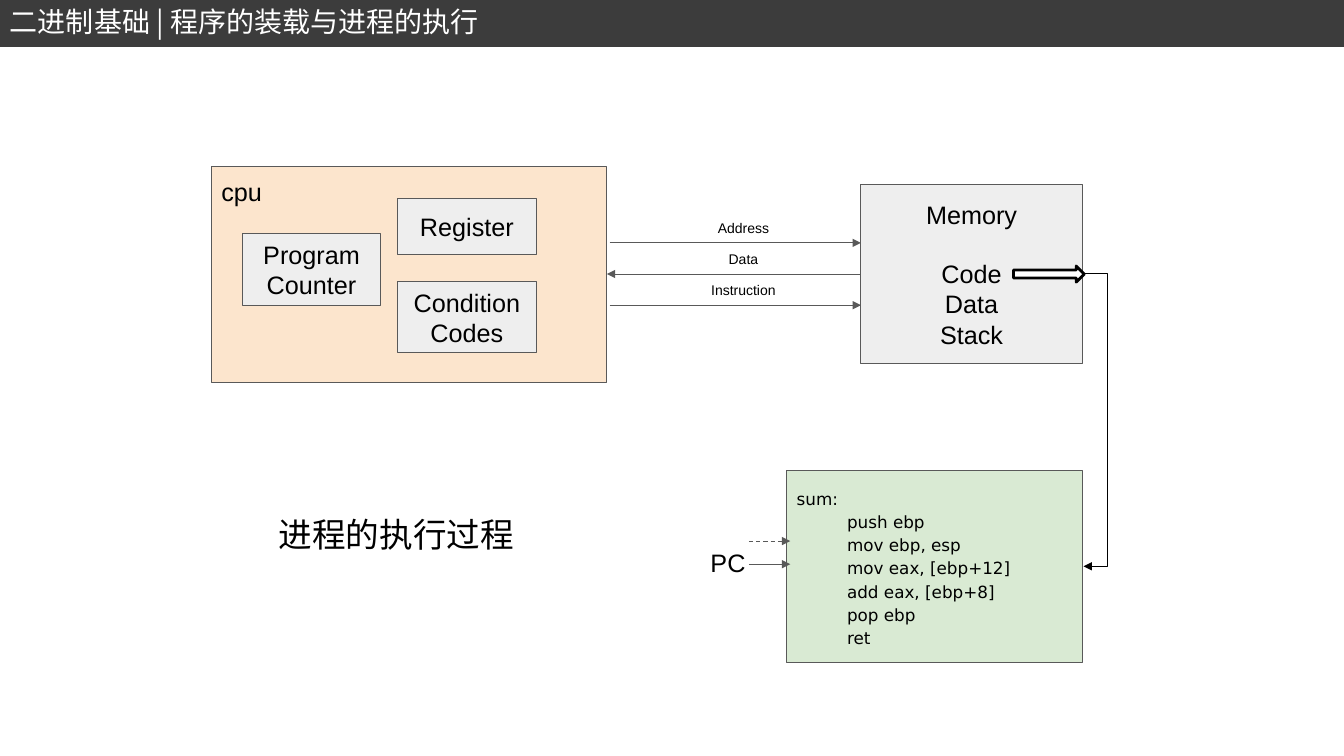
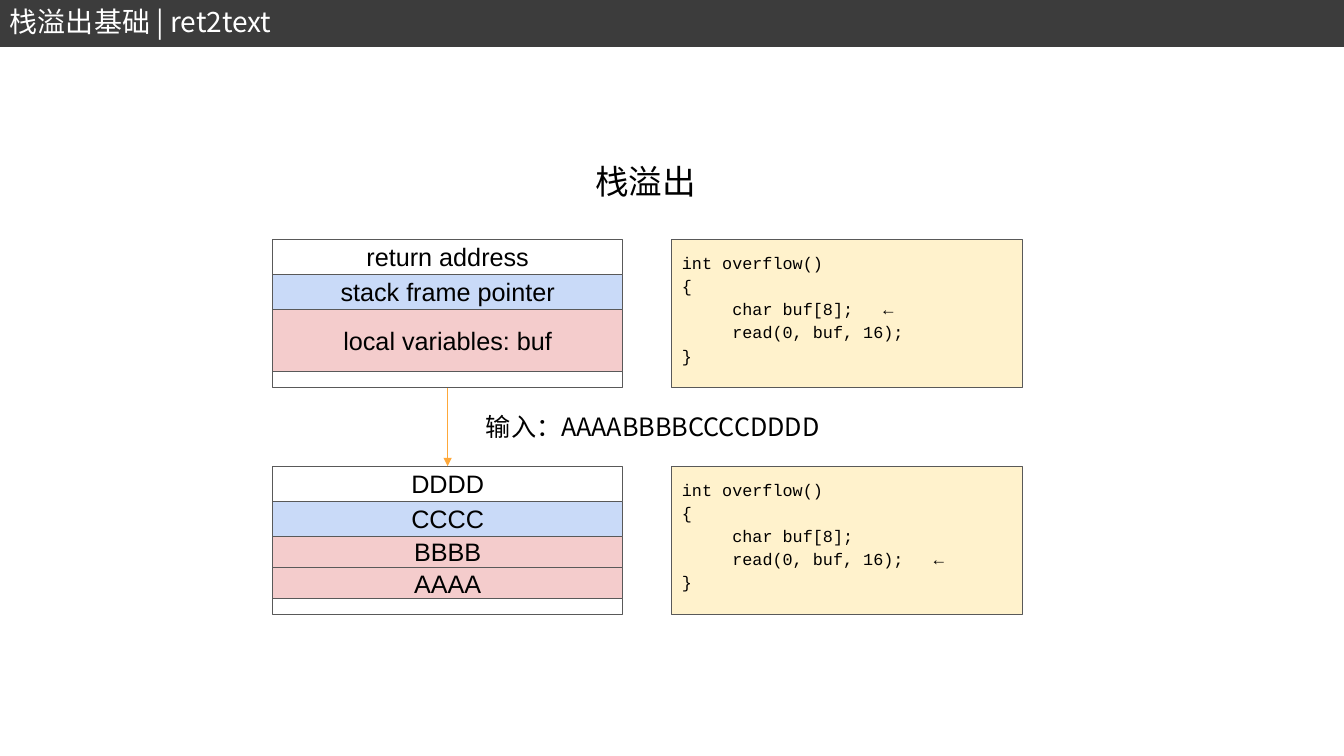
from dataclasses import dataclass

from lxml.etree import SubElement
from pptx import Presentation
from pptx.dml.color import RGBColor
from pptx.enum.dml import MSO_LINE
from pptx.enum.shapes import MSO_CONNECTOR as Connector, MSO_SHAPE as Preset
from pptx.enum.text import MSO_ANCHOR as Anchor, PP_ALIGN as Align
from pptx.oxml.ns import qn
from pptx.util import Pt


@dataclass(frozen=True)
class Theme:
    band: str = "3C3C3C"
    white: str = "FFFFFF"
    black: str = "000000"
    outline: str = "595959"
    gray: str = "EEEEEE"
    orange: str = "FCE5CD"
    green: str = "D9EAD3"
    blue: str = "C9DAF8"
    red: str = "F4CCCC"
    yellow: str = "FFF2CC"
    accent: str = "FEA83A"
    body_font: str = "Arial"
    chinese_font: str = "Noto Sans CJK SC"
    assembly_font: str = "DejaVu Sans"
    source_font: str = "Courier New"
    heading: int = 24
    title: int = 20
    body: int = 18
    code: int = 12
    label: int = 10
    thin: float = 0.75
    thick: float = 2
    inset: float = 7.2
    code_indent: int = 36
    marker_tab: int = 180


THEME = Theme()
SLIDE_WIDTH, SLIDE_HEIGHT = 960, 540
BAND_HEIGHT = 32


def write_text(shape, lines, *, size=THEME.body, font=THEME.body_font, color=THEME.black,
               align=Align.CENTER, anchor=Anchor.MIDDLE, spacing=1.0, wrap=True,
               insets=(THEME.inset, THEME.inset)):
    """Fill a shape, one paragraph a line; insets are horizontal and vertical."""
    frame = shape.text_frame
    frame.word_wrap = wrap
    frame.vertical_anchor = anchor
    frame.margin_left = frame.margin_right = Pt(insets[0])
    frame.margin_top = frame.margin_bottom = Pt(insets[1])
    for index, line in enumerate(lines):
        paragraph = frame.add_paragraph() if index else frame.paragraphs[0]
        paragraph.alignment = align
        paragraph.line_spacing = spacing
        run = paragraph.add_run()
        run.text = line
        run.font.size = Pt(size)
        run.font.name = font
        run.font.color.rgb = RGBColor.from_string(color)
        SubElement(run._r.get_or_add_rPr(), qn("a:ea"), typeface=font)
    return frame.paragraphs


def add_box(shapes, left, top, width, height, fill, *, preset=Preset.RECTANGLE,
            line=THEME.outline, weight=THEME.thin, lines=(), **text_format):
    shape = shapes.add_shape(preset, Pt(left), Pt(top), Pt(width), Pt(height))
    shape.shadow.inherit = False
    shape.fill.solid()
    shape.fill.fore_color.rgb = RGBColor.from_string(fill)
    shape.line.color.rgb = RGBColor.from_string(line)
    shape.line.width = Pt(weight)
    if lines:
        write_text(shape, lines, **text_format)
    return shape


def add_label(slide, left, top, width, height, text, **text_format):
    shape = slide.shapes.add_textbox(Pt(left), Pt(top), Pt(width), Pt(height))
    write_text(shape, [text], **text_format)


def add_chinese(slide, left, top, width, height, text, **text_format):
    """Left-aligned text in the Chinese font."""
    add_label(slide, left, top, width, height, text, **{
        "font": THEME.chinese_font, "align": Align.LEFT, "anchor": Anchor.TOP,
        "wrap": False, "insets": (THEME.inset, THEME.inset / 2), **text_format})


def add_arrow(slide, start, end, *, color=THEME.outline, dashed=False, elbow=None):
    """Arrow from start to end; elbow is the turn's share of the width in percent."""
    kind = Connector.STRAIGHT if elbow is None else Connector.ELBOW
    arrow = slide.shapes.add_connector(kind, *(Pt(value) for value in (*start, *end)))
    arrow.line.color.rgb = RGBColor.from_string(color)
    arrow.line.width = Pt(THEME.thin)
    if dashed:
        arrow.line.dash_style = MSO_LINE.DASH
    properties = arrow.element.spPr
    SubElement(properties.find(qn("a:ln")), qn("a:tailEnd"), type="triangle")
    SubElement(properties, qn("a:effectLst"))
    if elbow is not None:
        geometry = properties.find(qn("a:prstGeom"))
        adjustments = geometry.find(qn("a:avLst"))
        if adjustments is None:
            adjustments = SubElement(geometry, qn("a:avLst"))
        SubElement(adjustments, qn("a:gd"), name="adj1", fmla=f"val {elbow * 1000}")


def add_code(slide, left, top, width, height, fill, lines, indented, **text_format):
    """Code panel; indented is the slice of lines set in, a tab leads to the marker."""
    panel = add_box(slide.shapes, left, top, width, height, fill)
    paragraphs = write_text(panel, lines, size=THEME.code, align=Align.LEFT,
                            spacing=1.15, **text_format)
    for paragraph in paragraphs[indented]:
        properties = paragraph._p.get_or_add_pPr()
        properties.set("marL", "0")
        properties.set("indent", str(Pt(THEME.code_indent)))
        tabs = SubElement(properties, qn("a:tabLst"))
        SubElement(tabs, qn("a:tab"), pos=str(Pt(THEME.marker_tab)), algn="l")


def add_band(layout, slide):
    """Draw the title band and move it to the layout all slides share."""
    band = add_box(slide.shapes, 0, 0.5, SLIDE_WIDTH, BAND_HEIGHT, THEME.band,
                   line=THEME.band, weight=THEME.thick)
    layout.shapes.element.append(band.element)


def add_title(slide, text):
    add_chinese(slide, 0, 0, 444, BAND_HEIGHT, text, size=THEME.title,
                color=THEME.white, wrap=True)


def draw_cpu(slide, left, top, width, height):
    add_box(slide.shapes, left, top, width, height, THEME.orange, lines=["cpu"],
            align=Align.LEFT, anchor=Anchor.TOP)
    for name, x, y, part_height in (("Register", 133, 23, 40),
                                    ("Condition Codes", 133, 82, 51),
                                    ("Program Counter", 22, 48, 51)):
        add_box(slide.shapes, left + x, top + y, 99, part_height, THEME.gray, lines=[name])


def draw_memory(slide, left, top, width, height):
    memory = add_box(slide.shapes, left, top, width, height, THEME.gray,
                     lines=["Memory", "Code", "Data", "Stack"])
    memory.text_frame.paragraphs[1].space_before = Pt(21)
    add_box(slide.shapes, left + 109, top + 58, 50.5, 11.5, THEME.white,
            preset=Preset.RIGHT_ARROW, line=THEME.black, weight=THEME.thick)


def draw_bus(slide, left, top, width, pitch):
    """Three labelled arrows; data runs back to the left."""
    label_width, label_height = 120, 22
    for index, (name, backward) in enumerate((("Address", False), ("Data", True),
                                              ("Instruction", False))):
        y = top + index * pitch
        ends = [(left, y), (left + width, y)]
        if backward:
            ends = [(left + width, y), (left - 2, y)]
        add_arrow(slide, *ends)
        add_label(slide, left + 95.5 - label_width / 2, y - label_height, label_width,
                  label_height, name, size=THEME.label)


def draw_assembly(slide, left, top, width, height):
    add_code(slide, left, top, width, height, THEME.green,
             ["sum:", "push ebp", "mov ebp, esp", "mov eax, [ebp+12]",
              "add eax, [ebp+8]", "pop ebp", "ret"],
             slice(1, None), font=THEME.assembly_font)
    add_label(slide, left - 67, top + 45.5, 50, 40, "PC")
    for y, dashed in ((67, False), (50.5, True)):
        add_arrow(slide, (left - 27, top + y), (left + 2.5, top + y), dashed=dashed)


def draw_stack(slide, left, top, width, rows):
    group = slide.shapes.add_group_shape()
    for text, height, fill in rows:
        add_box(group.shapes, left, top, width, height, fill, lines=[text] if text else ())
        top += height


def draw_overflow_code(slide, left, top, width, height, current):
    """Source panel with a marker after the line that is running."""
    body = ["char buf[8];", "read(0, buf, 16);"]
    body[current] += "\t←"
    add_code(slide, left, top, width, height, THEME.yellow,
             ["int overflow()", "{", *body, "}"], slice(2, 4),
             font=THEME.source_font, anchor=Anchor.TOP)


def build_execution_slide(slide):
    add_title(slide, "二进制基础 | 程序的装载与进程的执行")
    draw_cpu(slide, 151, 119, 282.5, 154.5)
    draw_memory(slide, 615, 132, 158, 127.5)
    draw_bus(slide, 435.5, 173.5, 179.5, 22.25)
    draw_assembly(slide, 562, 336, 211, 137.5)
    add_arrow(slide, (773, 195.5), (774, 404.5), color=THEME.black, elbow=1800)
    add_chinese(slide, 192, 363.5, 184, 36, "进程的执行过程", size=THEME.heading)


def build_overflow_slide(slide):
    add_title(slide, "栈溢出基础 | ret2text")
    add_chinese(slide, 418, 111.5, 87, 36, "栈溢出", size=THEME.heading)
    stack_left, code_left, width, height = 194.5, 480, 250.5, 106
    word, buffer, rest = 25, 44.5, 11.5
    before_top, after_top = 171, 333
    draw_stack(slide, stack_left, before_top, width, [
        ("return address", word, THEME.white),
        ("stack frame pointer", word, THEME.blue),
        ("local variables: buf", buffer, THEME.red),
        ("", rest, THEME.white)])
    draw_stack(slide, stack_left, after_top, width, [
        ("DDDD", word, THEME.white),
        ("CCCC", word, THEME.blue),
        ("BBBB", buffer / 2, THEME.red),
        ("AAAA", buffer / 2, THEME.red),
        ("", rest, THEME.white)])
    for current, top in enumerate((before_top, after_top)):
        draw_overflow_code(slide, code_left, top, width, height, current)
    middle = stack_left + width / 2
    add_arrow(slide, (middle, before_top + height), (middle, after_top), color=THEME.accent)
    add_chinese(slide, 340, 290, 261, 29, "输入：AAAABBBBCCCCDDDD")


def main():
    presentation = Presentation()
    presentation.slide_width, presentation.slide_height = Pt(SLIDE_WIDTH), Pt(SLIDE_HEIGHT)
    layout = presentation.slide_layouts[6]
    slides = [presentation.slides.add_slide(layout) for _ in range(2)]
    add_band(layout, slides[0])
    build_execution_slide(slides[0])
    build_overflow_slide(slides[1])
    presentation.save("out.pptx")


if __name__ == "__main__":
    main()
